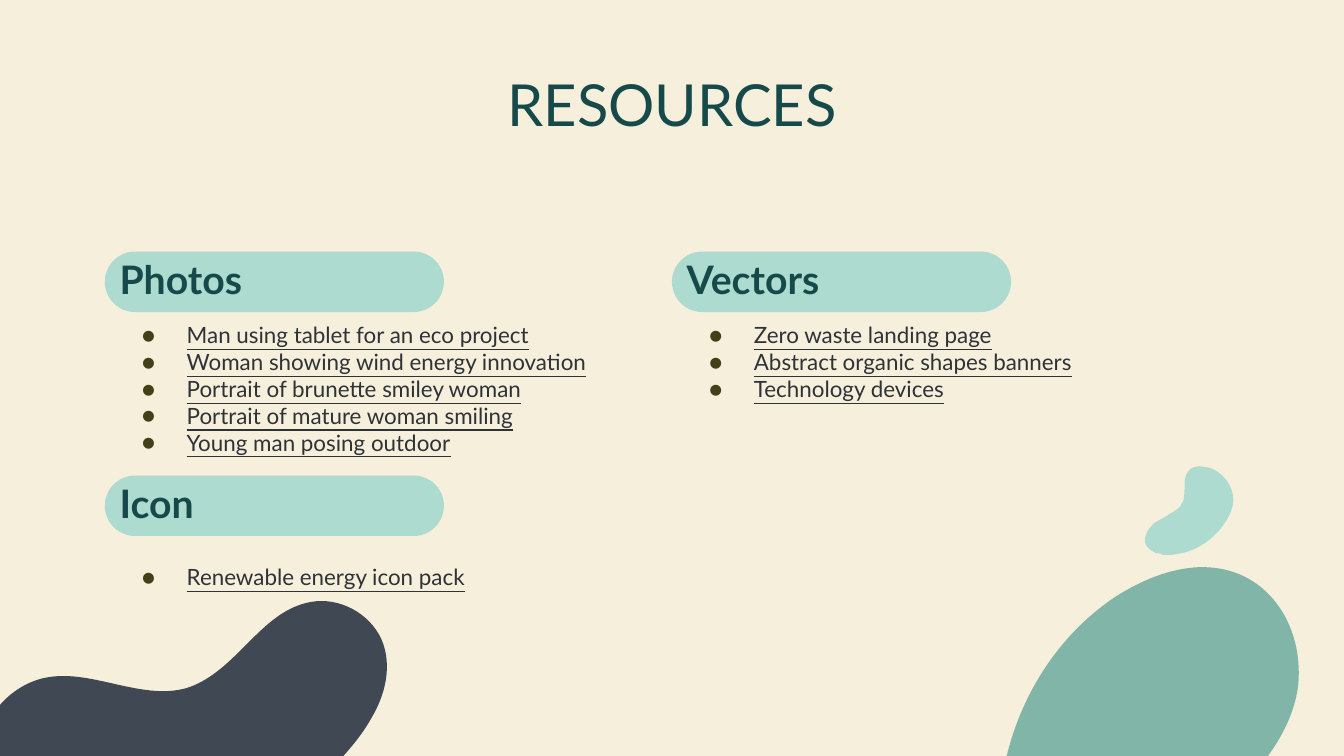
from dataclasses import dataclass

from lxml import etree
from pptx import Presentation
from pptx.dml.color import RGBColor
from pptx.enum.shapes import MSO_SHAPE
from pptx.enum.text import MSO_ANCHOR, PP_ALIGN
from pptx.oxml.ns import qn
from pptx.slide import Slide
from pptx.text.text import TextFrame
from pptx.util import Pt

ROUNDED = MSO_SHAPE.ROUNDED_RECTANGLE
TOP = MSO_ANCHOR.TOP
LEFT, CENTER = PP_ALIGN.LEFT, PP_ALIGN.CENTER

CREAM = RGBColor(0xF6, 0xEF, 0xDC)
SAGE = RGBColor(0x81, 0xB5, 0xA8)
SLATE = RGBColor(0x3F, 0x48, 0x53)
MINT = RGBColor(0xAD, 0xDB, 0xD0)
DEEP_TEAL = RGBColor(0x16, 0x4A, 0x4A)
INK = RGBColor(0x2E, 0x33, 0x38)
OLIVE = RGBColor(0x43, 0x40, 0x18)

FONT = "Lato"
BLOB_UNIT = 0.72
LEFT_COLUMN, RIGHT_COLUMN = 56.16, 360
UPPER_ROW, LOWER_ROW = 134.75, 254.75
TEXT_INSET = 7.9
COLUMN_WIDTH = 288


@dataclass(frozen=True)
class Blob:
    color: RGBColor
    start: tuple[float, float]
    segments: list[tuple[float, ...]]


@dataclass(frozen=True)
class Section:
    heading: str
    left: float
    top: float


@dataclass(frozen=True)
class ResourceLink:
    title: str
    space_before: float = 0


@dataclass(frozen=True)
class LinkList:
    left: float
    links: list[ResourceLink]


BLOBS = [
    Blob(SAGE, (895, 422), [
        (894, 422, 893, 422, 892, 422), (870, 423, 849, 432, 830, 444),
        (788, 472, 759, 517, 748, 567), (940, 567),
        (955, 548, 964, 528, 966, 509), (970, 464, 942, 422, 895, 422),
    ]),
    Blob(SLATE, (284, 476), [
        (275, 456, 252, 444, 231, 448), (210, 452, 196, 467, 180, 483),
        (168, 495, 155, 507, 139, 512), (104, 522, 66, 496, 31, 505),
        (8, 511, -8, 530, -16, 552), (-20, 563, -23, 574, -23, 586),
        (-23, 592, -23, 599, -21, 605), (26, 605), (221, 605),
        (226, 597, 231, 590, 237, 583), (251, 567, 266, 553, 276, 535),
        (287, 517, 292, 495, 284, 476),
    ]),
    Blob(MINT, (893, 347), [
        (889, 347, 886, 348, 884, 351), (880, 356, 882, 363, 881, 369),
        (881, 375, 877, 379, 871, 382), (867, 385, 862, 387, 858, 390),
        (854, 394, 851, 399, 852, 404), (853, 405, 853, 405, 853, 406),
        (855, 409, 859, 412, 863, 412), (864, 413, 866, 413, 868, 413),
        (873, 413, 878, 412, 882, 411), (895, 407, 905, 399, 912, 388),
        (916, 382, 919, 374, 917, 367), (915, 358, 908, 351, 900, 348),
        (897, 348, 895, 347, 893, 347),
    ]),
]

SECTIONS = [
    Section("Icon", LEFT_COLUMN, LOWER_ROW),
    Section("Photos", LEFT_COLUMN, UPPER_ROW),
    Section("Vectors", RIGHT_COLUMN, UPPER_ROW),
]

LINK_LISTS = [
    LinkList(LEFT_COLUMN, [
        ResourceLink("Man using tablet for an eco project"),
        ResourceLink("Woman showing wind energy innovation"),
        ResourceLink("Portrait of brunette smiley woman"),
        ResourceLink("Portrait of mature woman smiling"),
        ResourceLink("Young man posing outdoor"),
        ResourceLink("Renewable energy icon pack", 57.6),
    ]),
    LinkList(RIGHT_COLUMN, [
        ResourceLink("Zero waste landing page"),
        ResourceLink("Abstract organic shapes banners"),
        ResourceLink("Technology devices"),
    ]),
]


def paint(shape, color: RGBColor) -> None:
    shape.shadow.inherit = False
    shape.fill.solid()
    shape.fill.fore_color.rgb = color
    shape.line.fill.background()


def draw_blob(slide: Slide, blob: Blob) -> None:
    anchors = [blob.start] + [segment[-2:] for segment in blob.segments]
    first, *rest = [(Pt(x * BLOB_UNIT), Pt(y * BLOB_UNIT)) for x, y in anchors]
    builder = slide.shapes.build_freeform(*first)
    builder.add_line_segments(rest, close=True)
    outline = builder.convert_to_shape()
    paint(outline, blob.color)

    strokes = outline._element.findall(".//" + qn("a:lnTo"))
    for stroke, segment in zip(strokes, blob.segments):
        if len(segment) == 2:
            continue
        curve = etree.Element(qn("a:cubicBezTo"))
        for x, y in zip(segment[::2], segment[1::2]):
            etree.SubElement(curve, qn("a:pt"),
                             x=str(Pt(x * BLOB_UNIT) - outline.left),
                             y=str(Pt(y * BLOB_UNIT) - outline.top))
        stroke.getparent().replace(stroke, curve)


def add_frame(slide: Slide, left: float, top: float, width: float, height: float) -> TextFrame:
    frame = slide.shapes.add_textbox(Pt(left), Pt(top), Pt(width), Pt(height)).text_frame
    frame.word_wrap = True
    frame.vertical_anchor = TOP
    frame.margin_left = frame.margin_right = frame.margin_top = frame.margin_bottom = 0
    return frame


def style(paragraph, size: float, color: RGBColor, bold: bool = False, underline: bool = False) -> None:
    for run in paragraph.runs:
        run.font.name = FONT
        run.font.size = Pt(size)
        run.font.color.rgb = color
        run.font.bold = bold
        run.font.underline = underline


def draw_heading(slide: Slide, text: str, left: float, top: float, width: float,
                 height: float, size: float, bold: bool, alignment: PP_ALIGN) -> None:
    heading = add_frame(slide, left, top, width, height).paragraphs[0]
    heading.text = text
    heading.alignment = alignment
    style(heading, size, DEEP_TEAL, bold=bold)


def draw_pill(slide: Slide, section: Section) -> None:
    pill = slide.shapes.add_shape(ROUNDED, Pt(section.left), Pt(section.top), Pt(181.7), Pt(32.4))
    pill.adjustments[0] = 0.5
    paint(pill, MINT)


def add_bullet(paragraph) -> None:
    properties = paragraph._p.get_or_add_pPr()
    properties.set("marL", str(Pt(36)))
    properties.set("indent", str(Pt(-24)))
    bullet_color = etree.SubElement(properties, qn("a:buClr"))
    etree.SubElement(bullet_color, qn("a:srgbClr"), val=str(OLIVE))
    etree.SubElement(properties, qn("a:buFont"), typeface=FONT)
    etree.SubElement(properties, qn("a:buChar"), char="●")


def draw_links(slide: Slide, link_list: LinkList) -> None:
    frame = add_frame(slide, link_list.left + TEXT_INSET, 172.1, COLUMN_WIDTH, 190)
    for index, link in enumerate(link_list.links):
        paragraph = frame.add_paragraph() if index else frame.paragraphs[0]
        paragraph.text = link.title
        add_bullet(paragraph)
        paragraph.space_before = Pt(link.space_before)
        style(paragraph, 12, INK, underline=True)


def main() -> None:
    presentation = Presentation()
    presentation.slide_width, presentation.slide_height = Pt(720), Pt(405)
    slide = presentation.slides.add_slide(presentation.slide_layouts[6])
    slide.background.fill.solid()
    slide.background.fill.fore_color.rgb = CREAM

    for blob in BLOBS:
        draw_blob(slide, blob)
    for section in SECTIONS:
        draw_pill(slide, section)
    draw_heading(slide, "RESOURCES", LEFT_COLUMN, 36.7, 607.68, 36, 31, False, CENTER)
    for link_list in LINK_LISTS:
        draw_links(slide, link_list)
    for section in SECTIONS:
        draw_heading(slide, section.heading, section.left + TEXT_INSET, section.top + 2.2,
                     COLUMN_WIDTH, 28, 21, True, LEFT)
    presentation.save("out.pptx")


if __name__ == "__main__":
    main()
